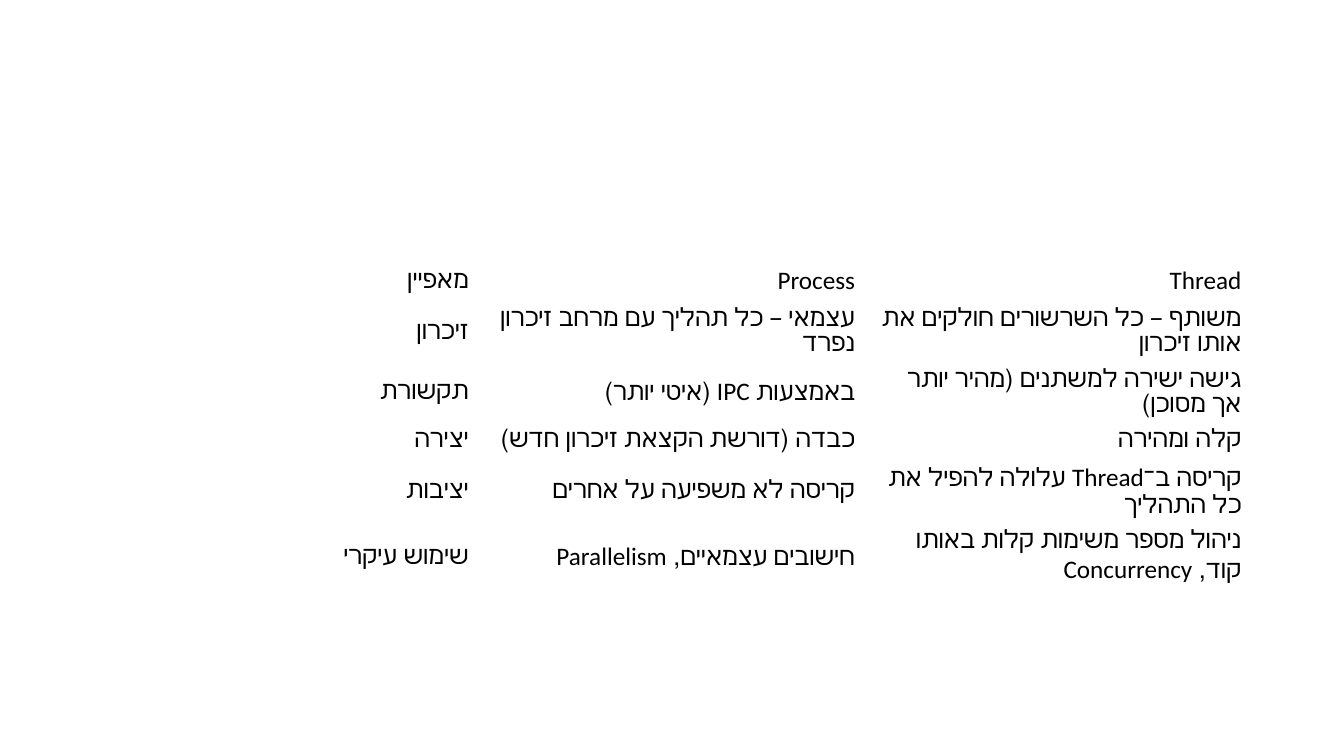
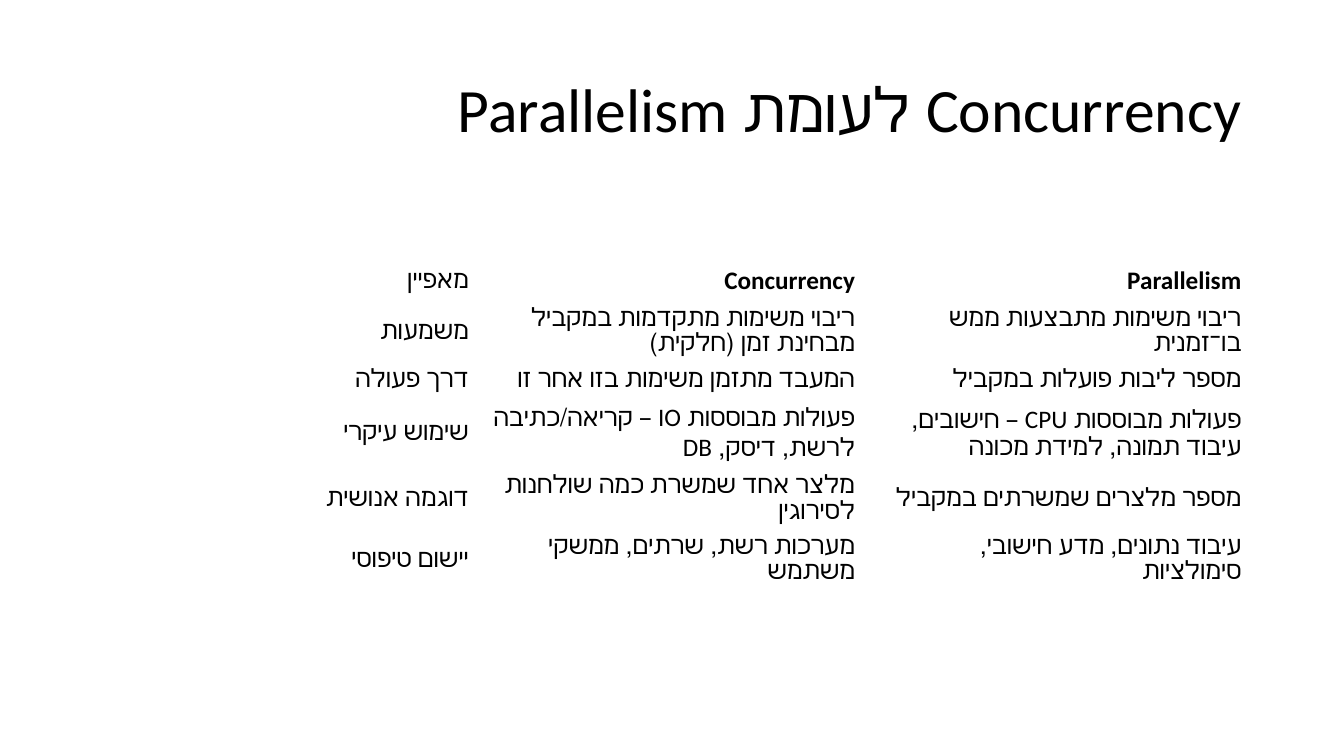
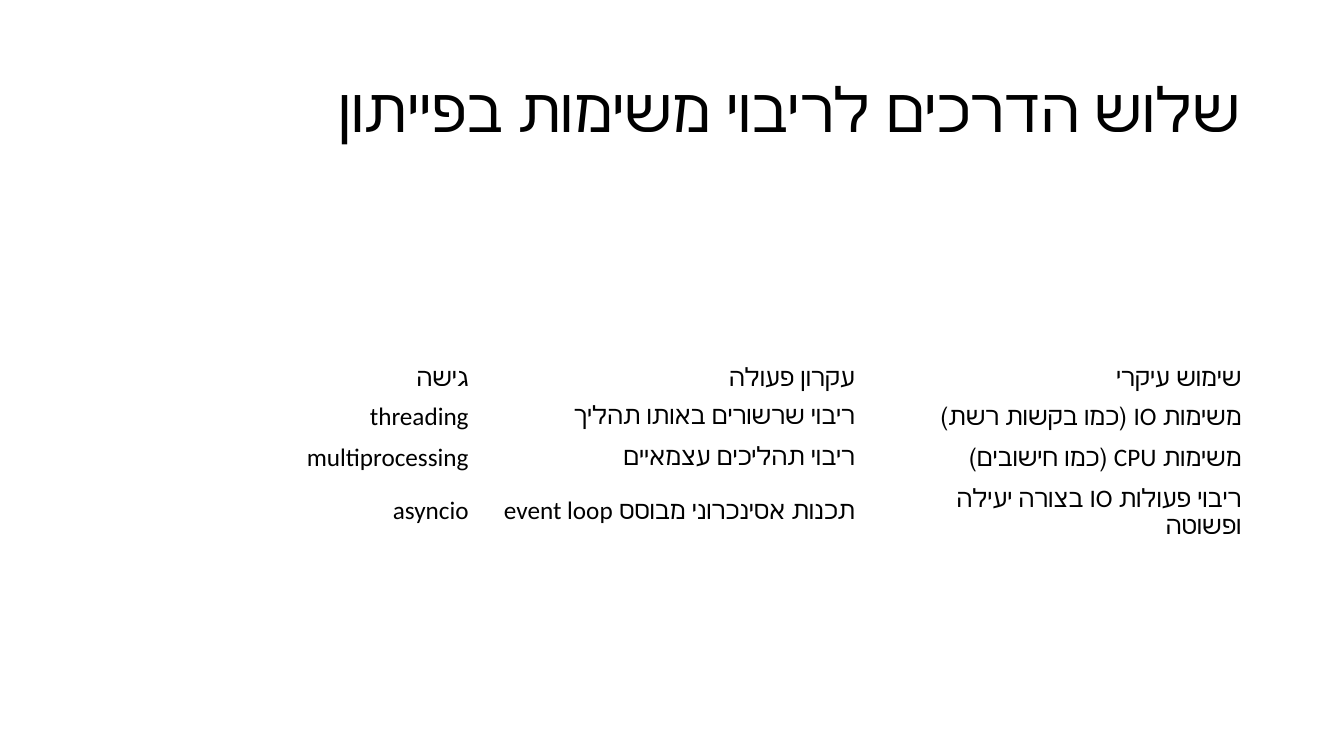
"""Build three right-to-left slides comparing ways of running tasks."""
from dataclasses import dataclass

from pptx import Presentation
from pptx.dml.color import RGBColor as Rgb
from pptx.enum.text import MSO_ANCHOR as Anchor, PP_ALIGN as Align
from pptx.slide import Slide
from pptx.text.text import _Paragraph as Para
from pptx.util import Emu, Pt

SCALE = 9525
COLORS = {"text": "000000"}
FONT = "Calibri"
LEFT, WIDTH = 88, 1104


@dataclass
class Grid:
    """A table with its place, its slide title and its bold cells."""
    top: int
    height: int
    rows: list[tuple[str, str, str]]
    title: str = ""
    bold: tuple[str, ...] = ()


GRIDS = [
    Grid(248, 346, [
        ("מאפיין", "Process", "Thread"),
        ("זיכרון", "עצמאי – כל תהליך עם מרחב זיכרון נפרד",
         "משותף – כל השרשורים חולקים את אותו זיכרון"),
        ("תקשורת", "באמצעות IPC (איטי יותר)",
         "גישה ישירה למשתנים (מהיר יותר אך מסוכן)"),
        ("יצירה", "כבדה (דורשת הקצאת זיכרון חדש)", "קלה ומהירה"),
        ("יציבות", "קריסה לא משפיעה על אחרים",
         "קריסה ב־Thread עלולה להפיל את כל התהליך"),
        ("שימוש עיקרי", "חישובים עצמאיים, Parallelism",
         "ניהול מספר משימות קלות באותו קוד, Concurrency"),
    ]),
    Grid(248, 346, [
        ("מאפיין", "Concurrency", "Parallelism"),
        ("משמעות", "ריבוי משימות מתקדמות במקביל מבחינת זמן (חלקית)",
         "ריבוי משימות מתבצעות ממש בו־זמנית"),
        ("דרך פעולה", "המעבד מתזמן משימות בזו אחר זו",
         "מספר ליבות פועלות במקביל"),
        ("שימוש עיקרי", "פעולות מבוססות IO – קריאה/כתיבה לרשת, דיסק, DB",
         "פעולות מבוססות CPU – חישובים, עיבוד תמונה, למידת מכונה"),
        ("דוגמה אנושית", "מלצר אחד שמשרת כמה שולחנות לסירוגין",
         "מספר מלצרים שמשרתים במקביל"),
        ("יישום טיפוסי", "מערכות רשת, שרתים, ממשקי משתמש",
         "עיבוד נתונים, מדע חישובי, סימולציות"),
    ], "Concurrency לעומת Parallelism", ("Concurrency", "Parallelism")),
    Grid(344, 154, [
        ("גישה", "עקרון פעולה", "שימוש עיקרי"),
        ("threading", "ריבוי שרשורים באותו תהליך",
         "משימות IO (כמו בקשות רשת)"),
        ("multiprocessing", "ריבוי תהליכים עצמאיים",
         "משימות CPU (כמו חישובים)"),
        ("asyncio", "תכנות אסינכרוני מבוסס event loop",
         "ריבוי פעולות IO בצורה יעילה ופשוטה"),
    ], "שלוש הדרכים לריבוי משימות בפייתון"),
]


def px(num: int) -> Emu:
    """Turn pixels into EMU."""
    return Emu(num * SCALE)


def write(para: Para, text: str, size: int, bold: bool = False) -> None:
    """Fill a paragraph with right-to-left text in the shared style."""
    para.text = text
    para.alignment = Align.RIGHT
    para._p.get_or_add_pPr().set("rtl", "1")
    font = para.font
    font.name, font.size, font.bold = FONT, Pt(size), bold
    font.color.rgb = Rgb.from_string(COLORS["text"])


def head(slide: Slide, text: str) -> None:
    """Place and write the slide title."""
    shape = slide.shapes.title
    shape.left, shape.top = px(LEFT), px(38)
    shape.width, shape.height = px(WIDTH), px(139)
    frame = shape.text_frame
    frame.vertical_anchor = Anchor.MIDDLE
    para = frame.paragraphs[0]
    write(para, text, 44)
    para.line_spacing = 0.9


def draw(slide: Slide, grid: Grid) -> None:
    """Draw a plain table whose rows grow to fit their text."""
    frame = slide.shapes.add_table(
        len(grid.rows), len(grid.rows[0]),
        px(LEFT), px(grid.top), px(WIDTH), px(grid.height))
    table = frame.table
    table.first_row = table.horz_banding = False
    for row, texts in zip(table.rows, grid.rows):
        row.height = px(0)
        for cell, text in zip(row.cells, texts):
            cell.fill.background()
            cell.vertical_anchor = Anchor.MIDDLE
            write(cell.text_frame.paragraphs[0], text, 18, text in grid.bold)
    frame.height = px(grid.height)


def main() -> None:
    """Build and save the deck."""
    deck = Presentation()
    deck.slide_width, deck.slide_height = px(1280), px(720)
    plain, titled = deck.slide_layouts[6], deck.slide_layouts[5]
    for grid in GRIDS:
        slide = deck.slides.add_slide(titled if grid.title else plain)
        if grid.title:
            head(slide, grid.title)
        draw(slide, grid)
    deck.save("out.pptx")


if __name__ == "__main__":
    main()
